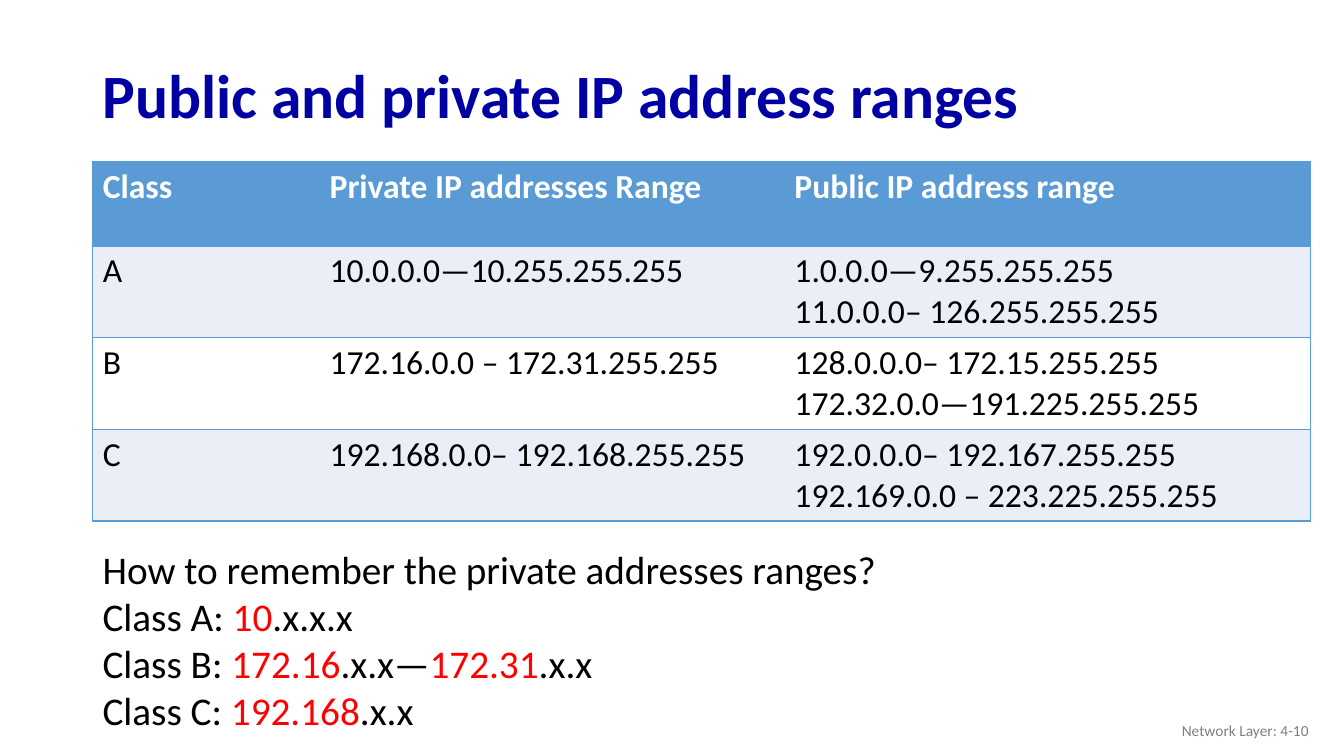
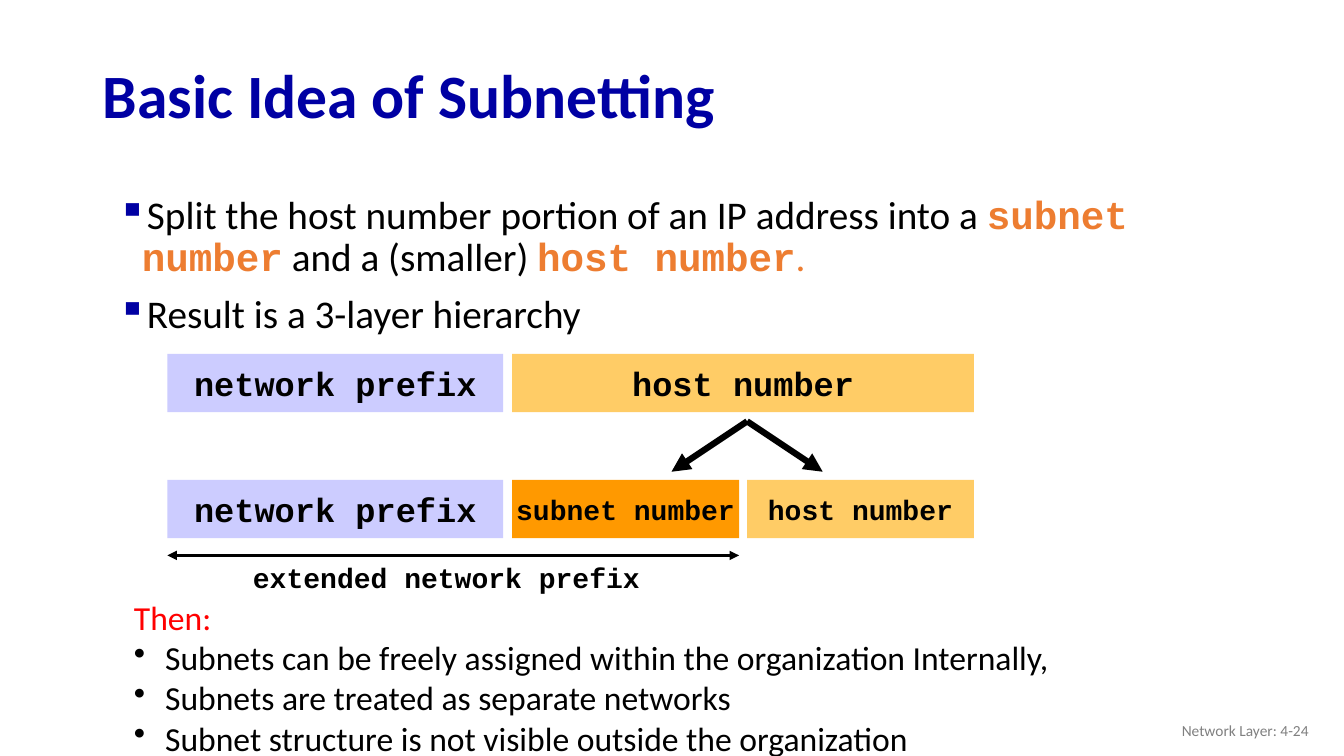
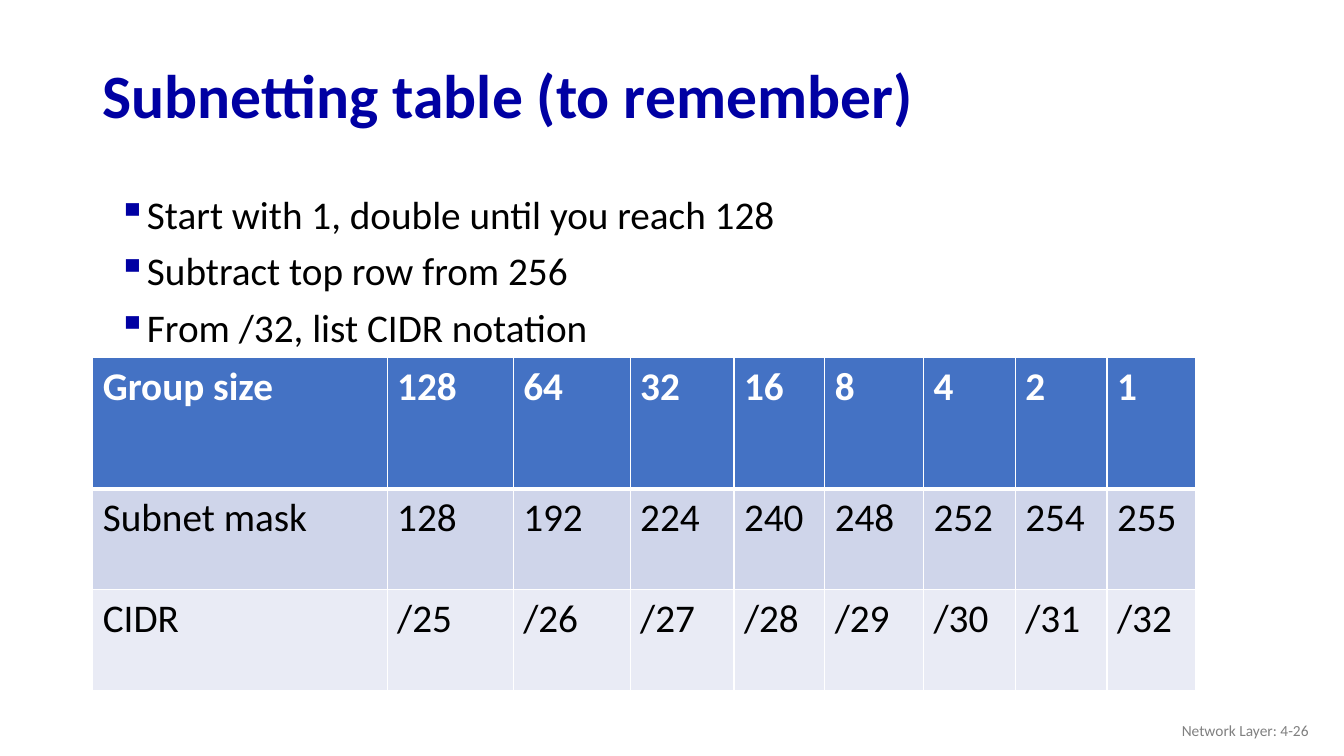
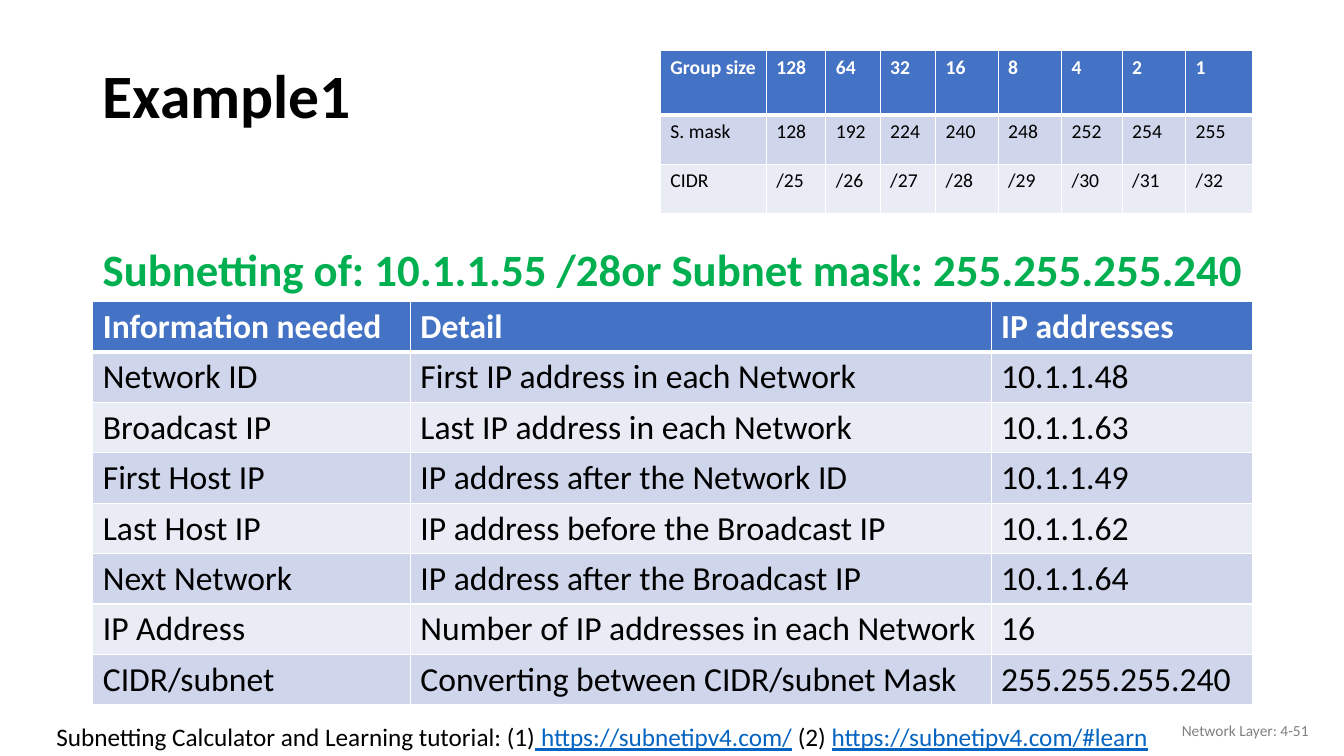
from lxml import etree
from pptx import Presentation
from pptx.dml.color import RGBColor
from pptx.enum.shapes import MSO_CONNECTOR, MSO_SHAPE
from pptx.enum.text import MSO_ANCHOR, PP_ALIGN
from pptx.oxml.ns import qn
from pptx.util import Inches, Pt

LEFT, RIGHT, CENTER = PP_ALIGN.LEFT, PP_ALIGN.RIGHT, PP_ALIGN.CENTER
TOP, MIDDLE = MSO_ANCHOR.TOP, MSO_ANCHOR.MIDDLE
RECT, STRAIGHT = MSO_SHAPE.RECTANGLE, MSO_CONNECTOR.STRAIGHT

COLORS = {
    "navy": "0000A3", "black": "000000", "white": "FFFFFF", "grey": "808080",
    "red": "FF0000", "green": "00B050", "link": "0563C1", "rust": "ED7D31",
    "lilac": "CCCCFF", "sand": "FFCC66", "amber": "FF9900",
    "sky": "5B9BD5", "mist": "EAEFF7",
    "blue": "4472C4", "haze": "CFD5EA", "pale": "E9EBF5",
}
BODY, CODE = "Calibri", "Courier New"
SKY = {"head": "sky", "bands": ("mist", "white"), "line": "sky", "inner": False, "rule": 1}
BLUE = {"head": "blue", "bands": ("haze", "pale"), "line": "white", "inner": True, "rule": 3}
SQUARE = {"char": "▪", "color": "navy", "left": 0.39, "hang": 0.24}
DOT = {"char": "•", "color": None, "left": 0.31, "hang": 0.31}


def rgb(name):
    return RGBColor.from_string(COLORS[name])


def add_fill(parent, color):
    fill = etree.SubElement(parent, qn("a:solidFill"))
    etree.SubElement(fill, qn("a:srgbClr")).set("val", COLORS[color])


class Deck:
    def __init__(self):
        self.prs = Presentation()
        self.prs.slide_width = Inches(13.33)
        self.prs.slide_height = Inches(7.5)
        self.slide = None

    def start(self, title, page, color="navy"):
        self.slide = self.prs.slides.add_slide(self.prs.slide_layouts[5])
        head = self.slide.shapes.title
        head.left, head.top, head.width, head.height = map(Inches, (0.92, 0.49, 11.5, 0.98))
        head.text_frame.vertical_anchor = MIDDLE
        para = head.text_frame.paragraphs[0]
        para.line_spacing = 0.9
        self.add_runs(para, [title], 44, color, bold=True)
        self.text((10.08, 7.05, 3, 0.4), [[f"Network Layer: 4-{page}"]], 11, "grey",
                  align=RIGHT, anchor=MIDDLE)

    def add_runs(self, para, runs, size, color="black", font=BODY, bold=False, align=LEFT):
        para.alignment = align
        for item in runs:
            words, style = (item, {}) if isinstance(item, str) else item
            run = para.add_run()
            run.text = words
            run.font.size = Pt(size)
            run.font.name = style.get("font", font)
            run.font.bold = style.get("bold", bold)
            run.font.underline = style.get("line", False)
            run.font.color.rgb = rgb(style.get("color", color))

    def bullet(self, para, mark):
        props = para._p.get_or_add_pPr()
        props.set("marL", str(Inches(mark["left"])))
        props.set("indent", str(-Inches(mark["hang"])))
        if mark["color"]:
            tint = etree.SubElement(props, qn("a:buClr"))
            etree.SubElement(tint, qn("a:srgbClr")).set("val", COLORS[mark["color"]])
        etree.SubElement(props, qn("a:buChar")).set("char", mark["char"])

    def text(self, at, lines, size, color="black", anchor=TOP, mark=None, plain=0,
             pitch=None, gap=0, **style):
        frame = self.slide.shapes.add_textbox(*map(Inches, at)).text_frame
        frame.word_wrap = True
        frame.vertical_anchor = anchor
        for num, runs in enumerate(lines):
            para = frame.add_paragraph() if num else frame.paragraphs[0]
            if mark and num >= plain:
                self.bullet(para, mark)
            if pitch:
                para.line_spacing = pitch
            if num and gap:
                para.space_before = Pt(gap)
            self.add_runs(para, runs, size, color, **style)

    def points(self, lines):
        self.text((0.92, 1.89, 11.5, 4.76), lines, 28, mark=SQUARE, pitch=0.9, gap=10)

    def block(self, at, words, fill, size):
        box = self.slide.shapes.add_shape(RECT, *map(Inches, at))
        box.shadow.inherit = False
        box.fill.solid()
        box.fill.fore_color.rgb = rgb(fill)
        box.line.fill.background()
        frame = box.text_frame
        frame.word_wrap = False
        frame.vertical_anchor = MIDDLE
        self.add_runs(frame.paragraphs[0], [words], size, font=CODE, bold=True, align=CENTER)

    def arrow(self, start, end, width, ends=("tailEnd",)):
        link = self.slide.shapes.add_connector(STRAIGHT, *map(Inches, start + end))
        link.line.color.rgb = rgb("black")
        link.line.width = Pt(width)
        stroke = link.line._get_or_add_ln()
        for tip in ends:
            etree.SubElement(stroke, qn(f"a:{tip}")).set("type", "triangle")
        etree.SubElement(link._element.spPr, qn("a:effectLst"))

    def border(self, cell, widths, color):
        props = cell._tc.get_or_add_tcPr()
        for side, width in widths.items():
            edge = etree.SubElement(props, qn(f"a:ln{side}"))
            edge.set("w", str(Pt(width)))
            if width:
                add_fill(edge, color)
            else:
                etree.SubElement(edge, qn("a:noFill"))

    def table(self, spot, cols, heights, rows, size, look):
        at = (*spot, sum(cols), sum(heights))
        grid = self.slide.shapes.add_table(len(rows), len(cols), *map(Inches, at)).table
        for col, width in zip(grid.columns, cols):
            col.width = Inches(width)
        last = len(cols) - 1
        inner = int(look["inner"])
        for r, row in enumerate(rows):
            grid.rows[r].height = Inches(heights[r])
            for c, words in enumerate(row):
                cell = grid.cell(r, c)
                self.border(cell, {
                    "L": 1 if c == 0 else inner,
                    "R": 1 if c == last else inner,
                    "T": look["rule"] if r == 1 else 1,
                    "B": look["rule"] if r == 0 else 1,
                }, look["line"])
                cell.fill.solid()
                cell.fill.fore_color.rgb = rgb(look["bands"][(r - 1) % 2] if r else look["head"])
                for num, line in enumerate(words.split("\n")):
                    frame = cell.text_frame
                    para = frame.add_paragraph() if num else frame.paragraphs[0]
                    self.add_runs(para, [line], size, "black" if r else "white", bold=r == 0)

    def masks(self, spot, cols, heights, size, label):
        bits = range(7, -1, -1)
        rows = [
            ["Group size"] + [str(2 ** b) for b in bits],
            [label] + [str(256 - 2 ** b) for b in bits],
            ["CIDR"] + [f"/{32 - b}" for b in bits],
        ]
        self.table(spot, cols, heights, rows, size, BLUE)


def ranges(deck):
    deck.start("Public and private IP address ranges", 10)
    deck.table((0.92, 1.6), [2.25, 4.61, 5.22], [0.84] + [0.91] * 3, [
        ["Class", "Private IP addresses Range", "Public IP address range"],
        ["A", "10.0.0.0—10.255.255.255", "1.0.0.0—9.255.255.255\n11.0.0.0– 126.255.255.255"],
        ["B", "172.16.0.0 – 172.31.255.255",
         "128.0.0.0– 172.15.255.255\n172.32.0.0—191.225.255.255"],
        ["C", "192.168.0.0– 192.168.255.255",
         "192.0.0.0– 192.167.255.255\n192.169.0.0 – 223.225.255.255"],
    ], 24, SKY)
    red = {"color": "red"}
    deck.text((0.92, 5.36, 9.17, 1.99), [
        ["How to remember the private addresses ranges?"],
        ["Class A: ", ("10", red), ".x.x.x"],
        ["Class B: ", ("172.16", red), ".x.x—", ("172.31", red), ".x.x"],
        ["Class C: ", ("192.168", red), ".x.x"],
    ], 28)


def idea(deck):
    deck.start("Basic Idea of Subnetting", 24)
    term = {"font": CODE, "color": "rust", "bold": True}
    deck.points([
        ["Split the host number portion of an IP address into a ", ("subnet number", term),
         " and a (smaller) ", ("host number", term), (".", {"color": "rust"})],
        ["Result is a 3-layer hierarchy"],
    ])
    net, sub, host = 1.66, 5.08, 7.41
    wide, half, tall = 3.33, 2.25, 0.58
    high, low = 3.51, 4.76
    for top in (high, low):
        deck.block((net, top, wide, tall), "network prefix", "lilac", 24)
    deck.block((sub, high, host + half - sub, tall), "host number", "sand", 24)
    deck.block((sub, low, half, tall), "subnet number", "amber", 20)
    deck.block((host, low, half, tall), "host number", "sand", 20)
    for shift in (-0.75, 0.75):
        deck.arrow((host, 4.18), (host + shift, 4.68), 4.5)
    deck.arrow((net, 5.51), (sub + half, 5.51), 2.25, ("headEnd", "tailEnd"))
    deck.text((2.41, 5.51, 4.08, 0.43), [["extended network prefix"]], 20, font=CODE, bold=True)
    deck.text((1.23, 5.87, 10.3, 1.63), [
        [("Then:", {"color": "red"})],
        ["Subnets can be freely assigned within the organization Internally,"],
        ["Subnets are treated as separate networks"],
        ["Subnet structure is not visible outside the organization"],
    ], 24, mark=DOT, plain=1)


def chart(deck):
    deck.start("Subnetting table (to remember)", 26)
    deck.points([
        ["Start with 1, double until you reach 128"],
        ["Subtract top row from 256"],
        ["From /32, list CIDR notation"],
    ])
    cols = [2.92, 1.25, 1.16, 1.03, 0.9, 0.98, 0.91, 0.91, 0.88]
    deck.masks((0.92, 3.55), cols, [1.3, 1, 1], 28, "Subnet mask")


def sample(deck):
    deck.start("Example1", 51, "black")
    deck.table((0.92, 2.99), [3.15, 5.76, 2.59], [0.5] * 8, [
        ["Information needed", "Detail", "IP addresses"],
        ["Network ID", "First IP address in each Network", "10.1.1.48"],
        ["Broadcast IP", "Last IP address in each Network", "10.1.1.63"],
        ["First Host IP", "IP address after the Network ID", "10.1.1.49"],
        ["Last Host IP", "IP address before the Broadcast IP", "10.1.1.62"],
        ["Next Network", "IP address after the Broadcast IP", "10.1.1.64"],
        ["IP Address", "Number of IP addresses in each Network", "16"],
        ["CIDR/subnet", "Converting between CIDR/subnet Mask", "255.255.255.240"],
    ], 24, BLUE)
    cols = [1.05, 0.59, 0.54, 0.55, 0.62, 0.63, 0.6, 0.63, 0.66]
    deck.masks((6.55, 0.5), cols, [0.64, 0.49, 0.49], 14, "S. mask")
    deck.text((0.92, 2.35, 11.73, 0.64),
              [["Subnetting of: 10.1.1.55 /28or Subnet mask: 255.255.255.240"]],
              32, "green", bold=True)
    link = {"color": "link", "line": True}
    deck.text((0.46, 7.11, 11.48, 0.4), [
        ["Subnetting Calculator and Learning tutorial: (1)", (" https://subnetipv4.com/", link),
         " (2) ", ("https://subnetipv4.com/#learn", link)],
    ], 18)


def main():
    deck = Deck()
    for build in (ranges, idea, chart, sample):
        build(deck)
    deck.prs.save("out.pptx")


if __name__ == "__main__":
    main()
